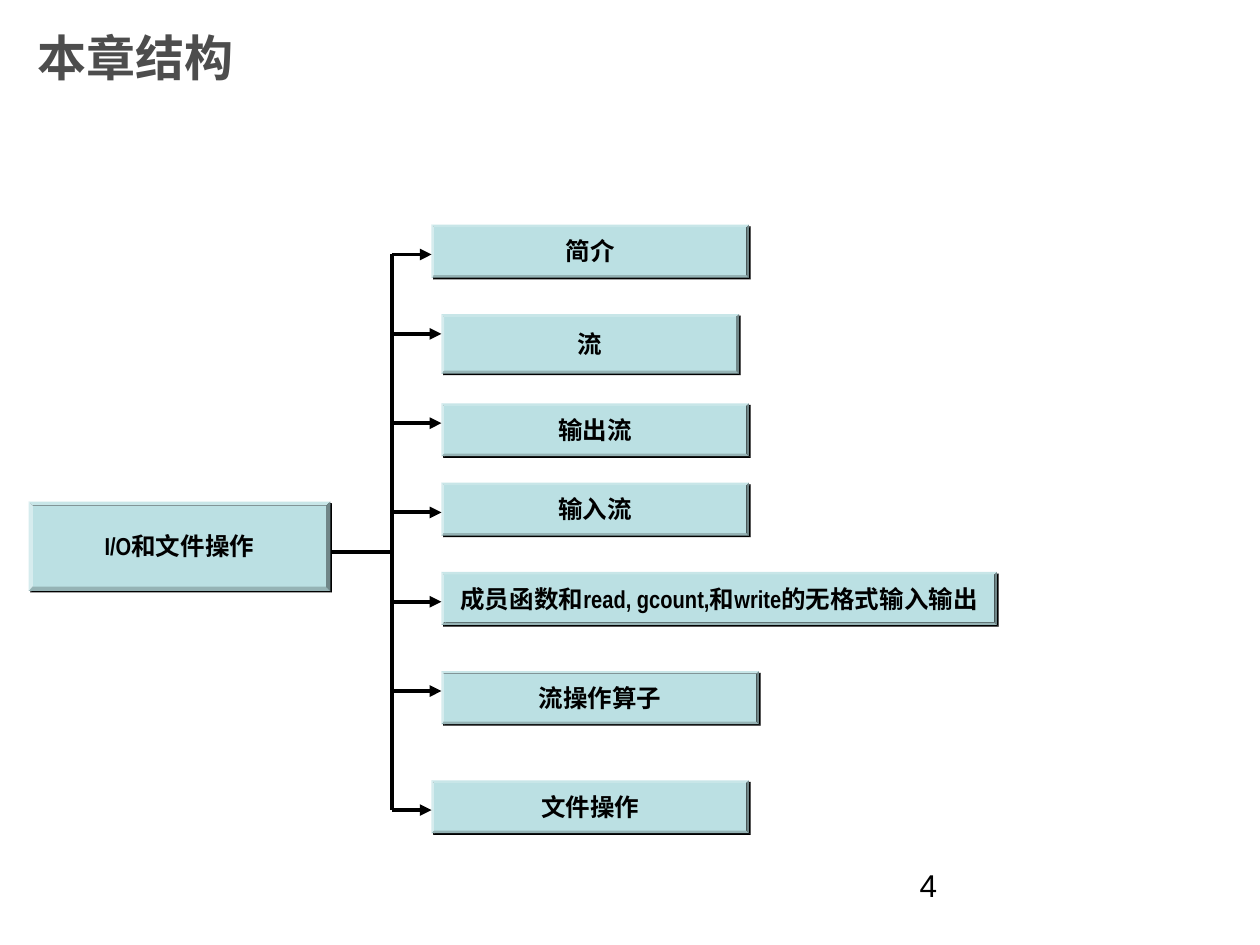
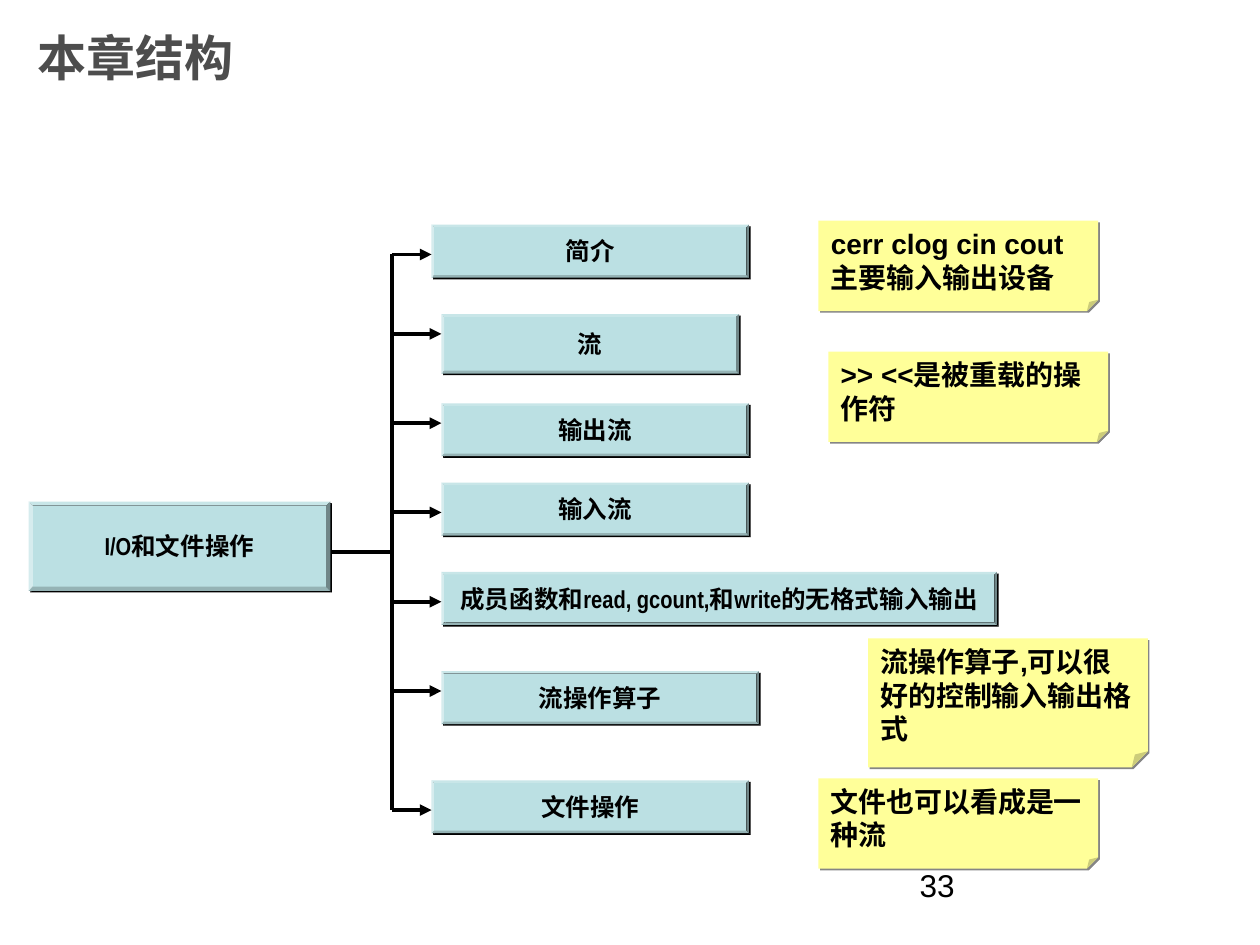
from dataclasses import dataclass

from lxml import etree
from pptx import Presentation
from pptx import util as u
from pptx.dml.color import RGBColor
from pptx.enum import shapes, text
from pptx.oxml import ns

# Lengths are grid units; the origin is the top end of the trunk line.
TITLE = "本章结构"
ROOT = ("I/O和文件操作", (-36.6, 24.9, 30.4, 9))
JOINT_ROW, ROOT_EDGE = 30, -6

# text, first column, top row, columns, rows, arrow row
BRANCHES = [
    ("简介", 4, -3, 32, 5.33, 0),
    ("流", 5, 6, 30, 6, 8),
    ("输出流", 5, 15, 31, 5.33, 17),
    ("输入流", 5, 23, 31, 5.33, 26),
    ("成员函数和read, gcount,和write的无格式输入输出", 5, 32, 56, 5.33, 35),
    ("流操作算子", 5, 42, 32, 5.33, 44),
    ("文件操作", 4, 53, 32, 5.33, 56),
]

# text, first column, top row, rows
NOTES = [
    ("cerr clog cin cout 主要输入输出设备", 43, -3.4, 9.1),
    (">> <<是被重载的操作符", 44, 9.8, 9.1),
    ("流操作算子,可以很好的控制输入输出格式", 48, 38.7, 13),
    ("文件也可以看成是一种流", 43, 52.8, 9.1),
]
NOTE_COLUMNS = 28.2

SLIDES = [("4", []), ("33", NOTES)]


@dataclass(frozen=True)
class Theme:
    ink: str = "000000"
    heading: str = "4D4D4D"
    box: str = "BBE0E3"
    note: str = "FFFF99"
    note_shadow: str = "858585"
    font: str = "Arial"
    narrow: str = "Arial Narrow"
    title_size: int = 28
    box_size: int = 14
    note_size: int = 16
    number_size: int = 18
    line_width: float = 2.25
    shadow_distance: float = 1.4
    bevel: int = 4700
    fold: int = 12500


THEME = Theme()
WIDTH, HEIGHT = u.Inches(10), u.Inches(7.5)
UNIT = WIDTH / 127
TRUNK_X, TRUNK_Y = u.Inches(3.11), u.Inches(2.02)


def point(column, row):
    return round(TRUNK_X + column * UNIT), round(TRUNK_Y + row * UNIT)


def area(column, row, columns, rows):
    return (*point(column, row), round(columns * UNIT), round(rows * UNIT))


def share(left, top, width, height):
    """Turn shares of the slide into lengths."""
    return tuple(round(part * side) for part, side in
                 zip((left, top, width, height), (WIDTH, HEIGHT) * 2))


def write(shape, words, size, color=THEME.ink, font=THEME.font, bold=True,
          align=text.PP_ALIGN.LEFT, **frame_format):
    frame = shape.text_frame
    for key, value in ({"word_wrap": True} | frame_format).items():
        setattr(frame, key, value)
    paragraph = frame.paragraphs[0]
    paragraph.alignment = align
    run = paragraph.add_run()
    run.text = words
    for key, value in {"name": font, "size": u.Pt(size), "bold": bold}.items():
        setattr(run.font, key, value)
    run.font.color.rgb = RGBColor.from_string(color)


def add_block(slide, kind, place, corner, fill, shadow):
    """Add a borderless shape with a hard shadow to the lower right."""
    block = slide.shapes.add_shape(kind, *place)
    guides = block._element.spPr.find(ns.qn("a:prstGeom")).find(ns.qn("a:avLst"))
    for guide in list(guides):
        guides.remove(guide)
    etree.SubElement(guides, ns.qn("a:gd"), name="adj", fmla=f"val {corner}")
    block.fill.solid()
    block.fill.fore_color.rgb = RGBColor.from_string(fill)
    block.line.fill.background()
    block.shadow.inherit = False
    effects = block._element.spPr.find(ns.qn("a:effectLst"))
    drop = etree.SubElement(effects, ns.qn("a:outerShdw"), algn="ctr", rotWithShape="0",
                            dist=str(int(u.Pt(THEME.shadow_distance))), dir="2700000")
    etree.SubElement(drop, ns.qn("a:srgbClr"), val=shadow)
    return block


def add_topic(slide, words, place):
    topic = add_block(slide, shapes.MSO_SHAPE.BEVEL, place,
                      THEME.bevel, THEME.box, THEME.ink)
    write(topic, words, THEME.box_size, font=THEME.narrow, align=text.PP_ALIGN.CENTER,
          word_wrap=False, vertical_anchor=text.MSO_ANCHOR.MIDDLE)


def add_note(slide, words, column, row, rows):
    note = add_block(slide, shapes.MSO_SHAPE.FOLDED_CORNER,
                     area(column, row, NOTE_COLUMNS, rows),
                     THEME.fold, THEME.note, THEME.note_shadow)
    write(note, words, THEME.note_size, vertical_anchor=text.MSO_ANCHOR.MIDDLE,
          auto_size=text.MSO_AUTO_SIZE.SHAPE_TO_FIT_TEXT)


def add_line(slide, start, end, arrow=False):
    line = slide.shapes.add_connector(shapes.MSO_CONNECTOR.STRAIGHT,
                                      *point(*start), *point(*end))
    line.line.width = u.Pt(THEME.line_width)
    line.line.color.rgb = RGBColor.from_string(THEME.ink)
    properties = line._element.spPr
    if arrow:
        etree.SubElement(properties.find(ns.qn("a:ln")), ns.qn("a:tailEnd"),
                         type="triangle")
    etree.SubElement(properties, ns.qn("a:effectLst"))


def add_structure(slide):
    """Draw the root, the trunk and one arrow for each branch."""
    add_topic(slide, ROOT[0], area(*ROOT[1]))
    add_line(slide, (ROOT_EDGE, JOINT_ROW), (0, JOINT_ROW))
    add_line(slide, (0, BRANCHES[0][-1]), (0, BRANCHES[-1][-1]))
    for words, column, row, columns, rows, arrow_row in BRANCHES:
        add_topic(slide, words, area(column, row, columns, rows))
        add_line(slide, (0, arrow_row), (column, arrow_row), arrow=True)


def add_page(deck, number, notes):
    slide = deck.slides.add_slide(deck.slide_layouts[6])
    title = slide.shapes.add_textbox(*share(0.02, 0, 0.75, 0.12))
    write(title, TITLE, THEME.title_size, THEME.heading,
          vertical_anchor=text.MSO_ANCHOR.MIDDLE)
    add_structure(slide)
    for note in notes:
        add_note(slide, *note)
    page = slide.shapes.add_textbox(*share(0.72, 0.91, 0.23, 0.07))
    write(page, number, THEME.number_size, bold=False)


def main():
    deck = Presentation()
    deck.slide_width, deck.slide_height = WIDTH, HEIGHT
    for number, notes in SLIDES:
        add_page(deck, number, notes)
    deck.save("out.pptx")


if __name__ == "__main__":
    main()
